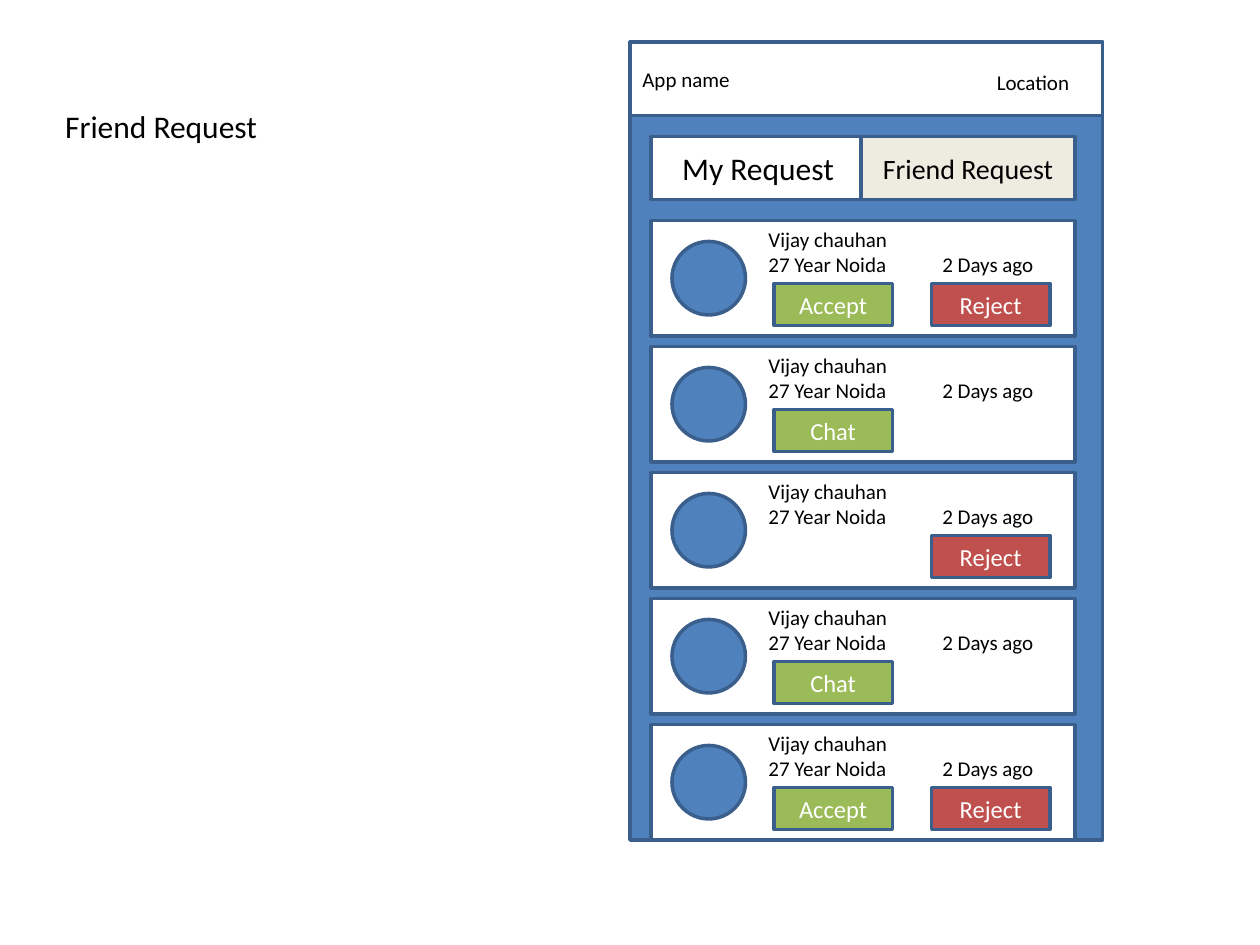
from dataclasses import dataclass
from typing import Optional

from lxml import etree
from pptx import Presentation
from pptx.dml.color import RGBColor
from pptx.enum.shapes import MSO_SHAPE
from pptx.enum.text import MSO_ANCHOR, MSO_AUTO_SIZE, PP_ALIGN
from pptx.oxml.ns import qn
from pptx.util import Inches, Pt

RECT, OVAL = MSO_SHAPE.RECTANGLE, MSO_SHAPE.OVAL
LEFT, MID, RIGHT = PP_ALIGN.LEFT, PP_ALIGN.CENTER, PP_ALIGN.RIGHT
TOP, MIDDLE = MSO_ANCHOR.TOP, MSO_ANCHOR.MIDDLE
GROW, FIXED = MSO_AUTO_SIZE.SHAPE_TO_FIT_TEXT, MSO_AUTO_SIZE.NONE

BLUE = RGBColor(0x4F, 0x81, 0xBD)
EDGE = RGBColor(0x3A, 0x5F, 0x8C)
WHITE = RGBColor(0xFF, 0xFF, 0xFF)
BLACK = RGBColor(0x00, 0x00, 0x00)
CREAM = RGBColor(0xEE, 0xEC, 0xE1)
GREEN = RGBColor(0x9B, 0xBB, 0x59)
RED = RGBColor(0xC0, 0x50, 0x4D)

WIDE, HIGH = Inches(10), Inches(7.5)
COLS, ROWS = 120, 90
FIRST, STEP = 21, 12
DAYS = Inches(1.38)


@dataclass
class Area:
    col: float
    row: float
    cols: float
    rows: float

    def place(self) -> tuple[int, int, int, int]:
        return (round(WIDE * self.col / COLS), round(HIGH * self.row / ROWS),
                round(WIDE * self.cols / COLS), round(HIGH * self.rows / ROWS))


@dataclass
class Style:
    size: int
    color: RGBColor = BLACK
    align: PP_ALIGN = MID


@dataclass
class Button:
    word: str
    fill: RGBColor
    col: float


@dataclass
class Friend:
    name: str
    home: str
    when: str
    buttons: list[Button]


ACCEPT = Button("Accept", GREEN, 73.7)
CHAT = Button("Chat", GREEN, 73.7)
REJECT = Button("Reject", RED, 88.7)
CHOICES = [[ACCEPT, REJECT], [CHAT], [REJECT], [CHAT], [ACCEPT, REJECT]]
FRIENDS = [Friend("Vijay chauhan", "27 Year Noida", "2 Days ago", choice)
           for choice in CHOICES]


def write(shape, text: str, style: Style, anchor: MSO_ANCHOR, fit: MSO_AUTO_SIZE) -> None:
    frame = shape.text_frame
    frame.text = text
    looks = {"word_wrap": True, "vertical_anchor": anchor, "auto_size": fit}
    for key, value in looks.items():
        setattr(frame, key, value)
    for para in frame.paragraphs:
        para.alignment = style.align
        for run in para.runs:
            for key, value in {"name": "Calibri", "size": Pt(style.size)}.items():
                setattr(run.font, key, value)
            run.font.color.rgb = style.color


def block(slide, area: Area, fill: RGBColor, text: str = "",
          style: Optional[Style] = None, kind: MSO_SHAPE = RECT) -> None:
    shape = slide.shapes.add_shape(kind, *area.place())
    shape.shadow.inherit = False
    shape.fill.solid()
    shape.fill.fore_color.rgb = fill
    shape.line.color.rgb = EDGE
    shape.line.width = Pt(2)
    if style:
        write(shape, text, style, MIDDLE, FIXED)


def label(slide, area: Area, text: str, style: Style):
    box = slide.shapes.add_textbox(*area.place())
    write(box, text, style, TOP, GROW)
    return box


def card(slide, friend: Friend, row: float) -> None:
    block(slide, Area(62, row, 40.4, 11), WHITE)
    block(slide, Area(64, row + 2, 7, 7), BLUE, kind=OVAL)
    text = f"{friend.name}\n{friend.home}\t{friend.when}"
    box = label(slide, Area(72, row, 28, 6), text, Style(12, align=LEFT))
    props = box.text_frame.paragraphs[1]._p.get_or_add_pPr()
    stops = etree.SubElement(props, qn("a:tabLst"))
    etree.SubElement(stops, qn("a:tab"), pos=str(DAYS), algn="l")
    for button in friend.buttons:
        block(slide, Area(button.col, row + 6, 11.3, 4), button.fill,
              button.word, Style(14, WHITE))


def main() -> None:
    deck = Presentation()
    deck.slide_width, deck.slide_height = WIDE, HIGH
    slide = deck.slides.add_slide(deck.slide_layouts[5])

    title = slide.shapes.title
    spot = Area(5, 9.6, 45, 4.8).place()
    for key, value in zip(("left", "top", "width", "height"), spot):
        setattr(title, key, value)
    write(title, "Friend Request", Style(18, align=LEFT), TOP, GROW)

    block(slide, Area(60, 4, 45, 76), BLUE)
    block(slide, Area(60, 4, 45, 7), WHITE, "App name", Style(12, align=LEFT))
    label(slide, Area(87, 6, 16, 3.6), "Location", Style(12, align=RIGHT))
    block(slide, Area(62, 13, 20.4, 6), WHITE, "My Request", Style(18))
    block(slide, Area(82, 13, 20.4, 6), CREAM, "Friend Request", Style(16))

    for index, friend in enumerate(FRIENDS):
        card(slide, friend, FIRST + index * STEP)

    deck.save("out.pptx")


if __name__ == "__main__":
    main()
